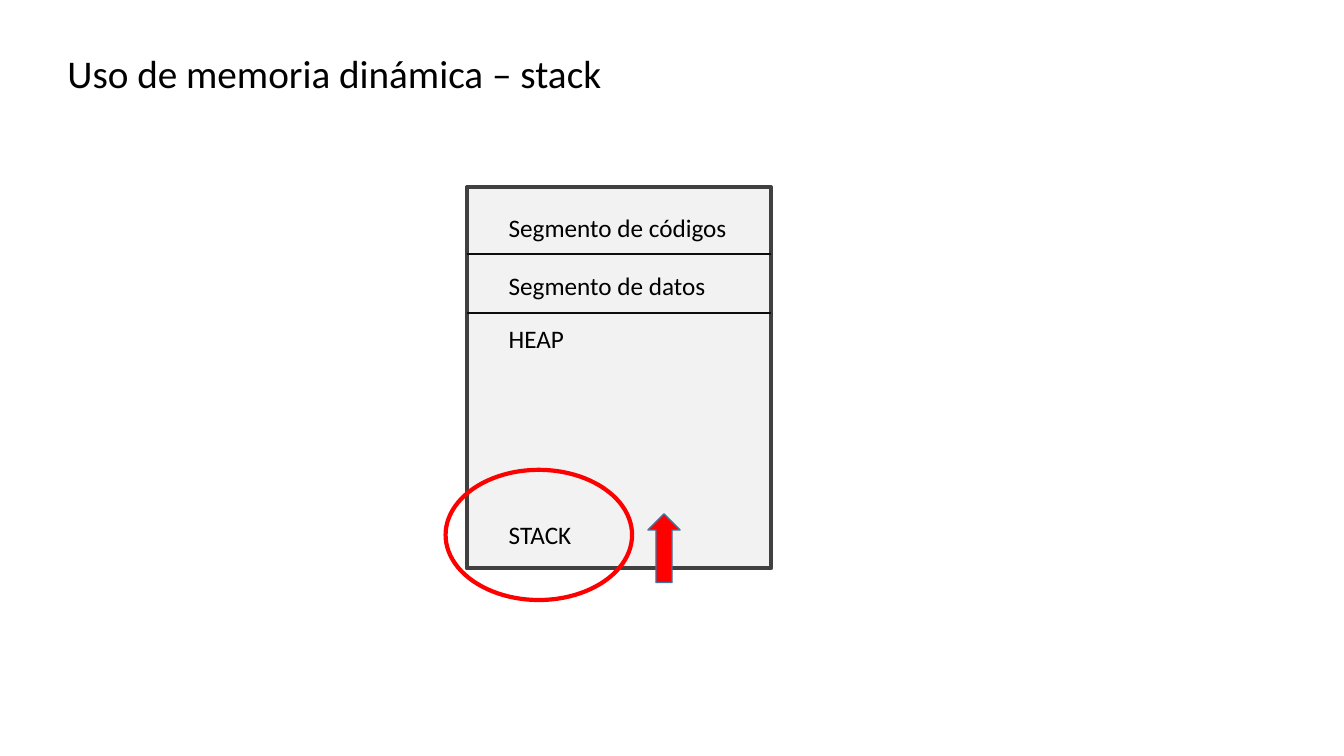
"""Build a slide showing the stack within the memory layout of a program."""
from lxml.etree import SubElement
from pptx import Presentation
from pptx.dml.color import RGBColor
from pptx.enum.shapes import MSO_CONNECTOR, MSO_SHAPE
from pptx.enum.text import MSO_AUTO_SIZE
from pptx.oxml.ns import qn
from pptx.util import Cm, Pt

COLORS = {"text": "000000", "memory": "F2F2F2", "border": "404040",
          "divider": "0D0D0D", "accent": "FF0000", "arrow_edge": "43739E"}
TITLE = ("Uso de memoria dinámica – stack", 1.45, 1.12, 14.55, 1.45, 28, True)
SEGMENTS = [("Segmento de códigos", 5.23, 6.07), ("Segmento de datos", 6.68, 5.54),
            ("HEAP", 8.03, 1.91), ("STACK", 12.95, 2.11)]
SEGMENT_LEFT, SEGMENT_HEIGHT = 12.57, 1.02
MEMORY = (11.76, 4.72, 7.67, 9.6)
DIVIDERS = [6.4, 7.89]
MARKS = [(MSO_SHAPE.OVAL, (11.23, 11.84, 4.7, 3.28), None, "accent", 3),
         (MSO_SHAPE.UP_ARROW, (16.33, 12.95, 0.81, 1.73), "accent", "arrow_edge", 1)]


def color(name):
    return RGBColor.from_string(COLORS[name])


def style_line(line, name, width):
    line.color.rgb = color(name)
    line.width = Pt(width)


def add_text(page, text, left, top, width, height, size, wrap):
    box = page.shapes.add_textbox(*map(Cm, (left, top, width, height)))
    frame = box.text_frame
    for name, value in {"word_wrap": wrap, "auto_size": MSO_AUTO_SIZE.SHAPE_TO_FIT_TEXT}.items():
        setattr(frame, name, value)
    span = frame.paragraphs[0].add_run()
    span.text = text
    for name, value in {"name": "Calibri", "size": Pt(size)}.items():
        setattr(span.font, name, value)
    span.font.color.rgb = color("text")


def add_outline(page, kind, place, fill, edge, width):
    shape = page.shapes.add_shape(kind, *map(Cm, place))
    shape.shadow.inherit = False
    if fill:
        shape.fill.solid()
        shape.fill.fore_color.rgb = color(fill)
    else:
        shape.fill.background()
    style_line(shape.line, edge, width)


def add_divider(page, top):
    left, right = MEMORY[0], MEMORY[0] + MEMORY[2]
    divider = page.shapes.add_connector(MSO_CONNECTOR.STRAIGHT, *map(Cm, (left, top, right, top)))
    style_line(divider.line, "divider", 1.5)
    SubElement(divider.element.spPr, qn("a:effectLst"))


deck = Presentation()
deck.slide_width, deck.slide_height = Cm(33.87), Cm(19.05)
page = deck.slides.add_slide(deck.slide_layouts[6])
add_outline(page, MSO_SHAPE.RECTANGLE, MEMORY, "memory", "border", 3)
for label, top, width in SEGMENTS:
    add_text(page, label, SEGMENT_LEFT, top, width, SEGMENT_HEIGHT, 18, False)
for top in DIVIDERS:
    add_divider(page, top)
add_text(page, *TITLE)
for mark in MARKS:
    add_outline(page, *mark)
deck.save("out.pptx")
